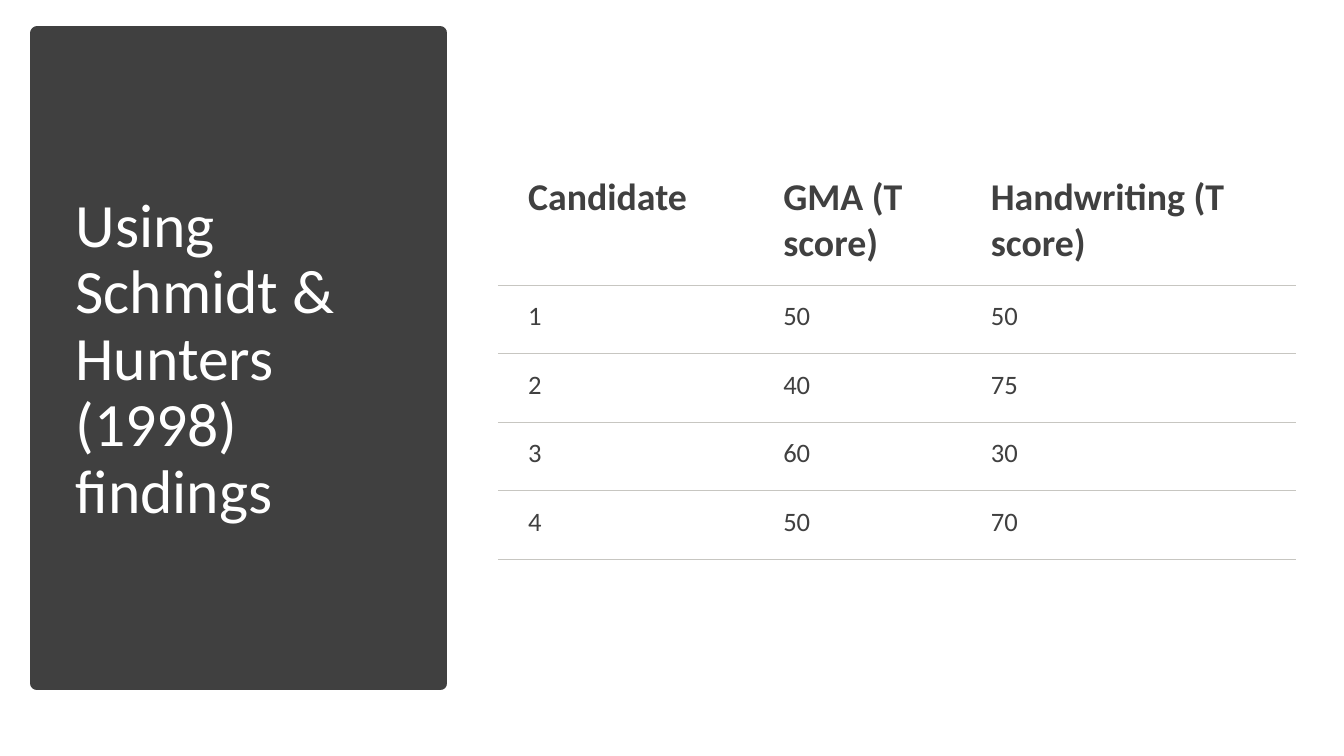
import pptx
import pptx.dml.color
import pptx.enum.shapes
import pptx.enum.text
import pptx.util
from lxml import etree
from pptx.oxml.ns import qn

Pt = pptx.util.Pt


def rgb(value):
    return pptx.dml.color.RGBColor.from_string(value)


def apply(target, values):
    """Set each named attribute of target."""
    for name, value in values.items():
        setattr(target, name, value)


class Deck:
    font = "Calibri"
    dark, light, rule = "404040", "FFFFFF", "C7C6C1"
    cell_margins = {"margin_left": Pt(21.6), "margin_top": Pt(10.8),
                    "margin_right": Pt(15.8), "margin_bottom": Pt(10.8)}

    def __init__(self):
        self.prs = pptx.Presentation()
        apply(self.prs, {"slide_width": Pt(960), "slide_height": Pt(540)})
        self.s = self.prs.slides.add_slide(self.prs.slide_layouts[5])

    def add_text(self, tf, text, size, color, bold=False, spacing=1.0):
        p = tf.paragraphs[0]
        apply(p, {"alignment": pptx.enum.text.PP_ALIGN.LEFT, "line_spacing": spacing})
        r = p.add_run()
        r.text = text
        apply(r.font, {"name": self.font, "size": Pt(size), "bold": bold})
        r.font.color.rgb = rgb(color)

    def panel(self, left, top, width, height):
        """Add a dark rectangle behind the title."""
        sp = self.s.shapes.add_shape(pptx.enum.shapes.MSO_SHAPE.RECTANGLE,
                                     Pt(left), Pt(top), Pt(width), Pt(height))
        sp.shadow.inherit = False
        sp.fill.solid()
        sp.fill.fore_color.rgb = rgb(self.dark)
        sp.line.color.rgb = rgb(self.dark)
        sp.line.width = Pt(10)
        self.s.shapes.title._element.addprevious(sp._element)

    def title(self, text, left, top, width, height):
        sp = self.s.shapes.title
        apply(sp, {"left": Pt(left), "top": Pt(top), "width": Pt(width), "height": Pt(height)})
        apply(sp.text_frame, {"word_wrap": True,
                              "auto_size": pptx.enum.text.MSO_AUTO_SIZE.NONE,
                              "vertical_anchor": pptx.enum.text.MSO_ANCHOR.MIDDLE})
        self.add_text(sp.text_frame, text, 44, self.light, spacing=0.9)

    def borders(self, cell, ruled):
        """Rule the named sides of a cell and clear the others."""
        tcPr = cell._tc.get_or_add_tcPr()
        for i, side in enumerate(("lnL", "lnR", "lnT", "lnB")):
            ln = etree.Element(qn("a:" + side), w=str(Pt(0.75)))
            if side in ruled:
                fill = etree.SubElement(ln, qn("a:solidFill"))
                etree.SubElement(fill, qn("a:srgbClr"), val=self.rule)
            else:
                etree.SubElement(ln, qn("a:noFill"))
            tcPr.insert(i, ln)

    def table(self, rows, left, top, widths, heights):
        frame = self.s.shapes.add_table(len(rows), len(widths), Pt(left), Pt(top),
                                        Pt(sum(widths)), Pt(sum(heights)))
        table = frame.table
        apply(table, {"first_row": False, "horz_banding": False})
        for column, width in zip(table.columns, widths):
            column.width = Pt(width)
        for i, (row, height) in enumerate(zip(table.rows, heights)):
            row.height = Pt(height)
            header = i == 0
            for cell, text in zip(row.cells, rows[i]):
                apply(cell, self.cell_margins)
                cell.fill.background()
                self.borders(cell, ("lnB",) if header else ("lnT", "lnB"))
                self.add_text(cell.text_frame, text, 27 if header else 19, self.dark, header)


def main():
    deck = Deck()
    deck.panel(26.6, 23.8, 288, 464.4)
    deck.title("Using Schmidt & Hunters (1998) findings", 46.8, 50.4, 249.1, 414)
    scores = [
        ("Candidate", "GMA (T score)", "Handwriting (T score)"),
        ("1", "50", "50"),
        ("2", "40", "75"),
        ("3", "60", "30"),
        ("4", "50", "70"),
    ]
    deck.table(scores, 355.7, 113.8, (182.2, 148.3, 239.8), [90] + [48.9] * 4)
    deck.prs.save("out.pptx")


if __name__ == "__main__":
    main()
